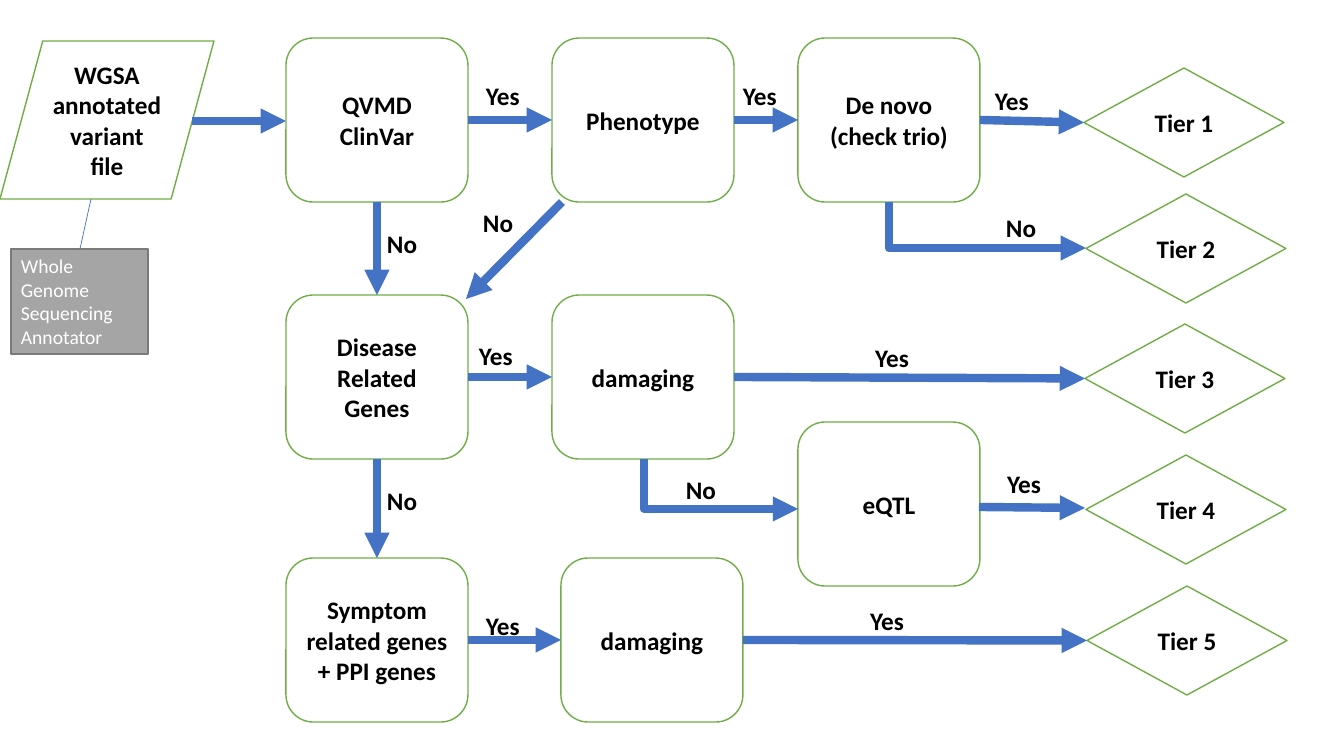
from lxml import etree
from pptx import Presentation
from pptx.dml.color import RGBColor
from pptx.enum.shapes import MSO_CONNECTOR, MSO_SHAPE
from pptx.enum.text import MSO_ANCHOR, MSO_AUTO_SIZE, PP_ALIGN
from pptx.oxml.ns import qn
from pptx.util import Emu, Pt

STRAIGHT, ELBOW = MSO_CONNECTOR.STRAIGHT, MSO_CONNECTOR.ELBOW
ROUNDED, DIAMOND = MSO_SHAPE.ROUNDED_RECTANGLE, MSO_SHAPE.FLOWCHART_DECISION
INPUT, RECTANGLE = MSO_SHAPE.FLOWCHART_DATA, MSO_SHAPE.RECTANGLE
LEFT, CENTER = PP_ALIGN.LEFT, PP_ALIGN.CENTER
TOP, MIDDLE = MSO_ANCHOR.TOP, MSO_ANCHOR.MIDDLE
GROW = MSO_AUTO_SIZE.SHAPE_TO_FIT_TEXT

COLORS = {"white": "FFFFFF", "black": "000000", "green": "70AD47",
          "blue": "4472C4", "gray": "A5A5A5", "dark gray": "7A7A7A"}
FONT = "Calibri"
EMU_PER_PIXEL = 914400 / 100.8

# Connection sites of boxes and diamonds
SITE_TOP, SITE_LEFT, SITE_BOTTOM, SITE_RIGHT = range(4)

STEP_SIZE = (182, 164)
TIER_SIZE = (200, 109)
STEPS = {  # name: (left, top, lines)
    "known": (286, 38, ["QVMD", "ClinVar"]),
    "phenotype": (552, 38, ["Phenotype"]),
    "de novo": (798, 38, ["De novo", "(check trio)"]),
    "disease": (286, 295, ["Disease", "Related Genes"]),
    "disease damaging": (552, 295, ["damaging"]),
    "eqtl": (798, 422, ["eQTL"]),
    "symptom": (286, 558, ["Symptom related genes + PPI genes"]),
    "symptom damaging": (561, 558, ["damaging"]),
}
TIERS = [(1084, 68), (1086, 194), (1085, 324), (1086, 455), (1087, 586)]
LABELS = [  # text, left, top
    ("Yes", 476, 75), ("Yes", 733, 75), ("Yes", 985, 80),
    ("Yes", 469, 335), ("Yes", 476, 605),
    ("No", 377, 223), ("No", 377, 480), ("No", 473, 202),
    ("No", 996, 207), ("No", 676, 469),
]
WIDE_LABELS = [("Yes", 765, 337), ("Yes", 760, 600), ("Yes", 897, 463)]
ACROSS = [("known", "phenotype"), ("phenotype", "de novo"), ("de novo", "Tier 1"),
          ("disease", "disease damaging"), ("disease damaging", "Tier 3"),
          ("symptom", "symptom damaging"), ("symptom damaging", "Tier 5")]
DOWN = [("known", "disease"), ("disease", "symptom")]
FREE_ARROWS = [(192, 121, 286, 121), (562, 202, 466, 299), (979, 507, 1085, 508)]
ELBOW_ARROWS = [(889, 202, 1086, 248), (644, 459, 798, 509)]


def px(value):
    return Emu(round(value * EMU_PER_PIXEL))


def color(name):
    return RGBColor.from_string(COLORS[name])


def write(frame, lines, size=18, ink="black", bold=True, align=CENTER):
    for index, line in enumerate(lines):
        para = frame.paragraphs[0] if index == 0 else frame.add_paragraph()
        para.alignment = align
        span = para.add_run()
        span.text = line
        span.font.name = FONT
        span.font.size = Pt(size)
        span.font.bold = bold
        span.font.color.rgb = color(ink)


def add_node(page, kind, left, top, size, fill="white", edge="green"):
    node = page.shapes.add_shape(kind, px(left), px(top), px(size[0]), px(size[1]))
    node.shadow.inherit = False
    node.fill.solid()
    node.fill.fore_color.rgb = color(fill)
    node.line.color.rgb = color(edge)
    node.line.width = Pt(1)
    node.text_frame.word_wrap = True
    node.text_frame.vertical_anchor = MIDDLE
    return node


def add_label(page, text, left, top, width, wrap=False, align=LEFT):
    box = page.shapes.add_textbox(px(left), px(top), px(width), px(40))
    box.text_frame.word_wrap = wrap
    box.text_frame.auto_size = GROW
    write(box.text_frame, [text], align=align)


def add_line(page, x1, y1, x2, y2, width=6, kind=STRAIGHT, arrow=True):
    line = page.shapes.add_connector(kind, px(x1), px(y1), px(x2), px(y2))
    line.line.color.rgb = color("blue")
    line.line.width = Pt(width)
    if arrow:
        etree.SubElement(line.line._get_or_add_ln(), qn("a:tailEnd"), type="triangle")
    etree.SubElement(line._element.spPr, qn("a:effectLst"))
    return line


def add_link(page, source, source_site, target, target_site):
    line = add_line(page, 0, 0, 0, 0)
    line.begin_connect(source, source_site)
    line.end_connect(target, target_site)


def add_elbow(page, x1, y1, x2, y2):
    """Arrow that goes down, then right: a one-bend connector turned by 270 degrees."""
    middle_x, middle_y = (x1 + x2) / 2, (y1 + y2) / 2
    half_width, half_height = (y2 - y1) / 2, (x2 - x1) / 2
    line = add_line(page, middle_x - half_width, middle_y - half_height,
                    middle_x + half_width, middle_y + half_height, kind=ELBOW)
    properties = line._element.spPr
    properties.find(qn("a:prstGeom")).set("prst", "bentConnector2")
    frame = properties.find(qn("a:xfrm"))
    frame.set("rot", str(270 * 60000))
    frame.set("flipH", "1")


def main():
    deck = Presentation()
    deck.slide_width, deck.slide_height = px(1344), px(756)
    page = deck.slides.add_slide(deck.slide_layouts[6])

    # Input file, filter steps and tiers
    source_file = add_node(page, INPUT, 0, 41, (214, 158))
    write(source_file.text_frame, ["WGSA annotated variant file"])
    nodes = {}
    for name, (left, top, lines) in STEPS.items():
        nodes[name] = add_node(page, ROUNDED, left, top, STEP_SIZE)
        write(nodes[name].text_frame, lines)
    for number, (left, top) in enumerate(TIERS, 1):
        name = f"Tier {number}"
        nodes[name] = add_node(page, DIAMOND, left, top, TIER_SIZE)
        write(nodes[name].text_frame, [name])

    # Answers beside the arrows
    for text, left, top in LABELS:
        add_label(page, text, left, top, 58 if text == "Yes" else 54)
    for text, left, top in WIDE_LABELS:
        add_label(page, text, left, top, 254, wrap=True, align=CENTER)

    # Arrows
    for source, target in ACROSS:
        add_link(page, nodes[source], SITE_RIGHT, nodes[target], SITE_LEFT)
    for source, target in DOWN:
        add_link(page, nodes[source], SITE_BOTTOM, nodes[target], SITE_TOP)
    for points in FREE_ARROWS:
        add_line(page, *points)
    for points in ELBOW_ARROWS:
        add_elbow(page, *points)

    # Explanation of the abbreviation
    note = add_node(page, RECTANGLE, 11, 249, (137, 105), "gray", "dark gray")
    note.text_frame.vertical_anchor = TOP
    note.text_frame.auto_size = GROW
    write(note.text_frame, ["Whole Genome Sequencing Annotator"], 14, "white", False, LEFT)
    add_line(page, 80, 249, 91, 199, width=0.5, arrow=False)

    deck.save("out.pptx")


main()
